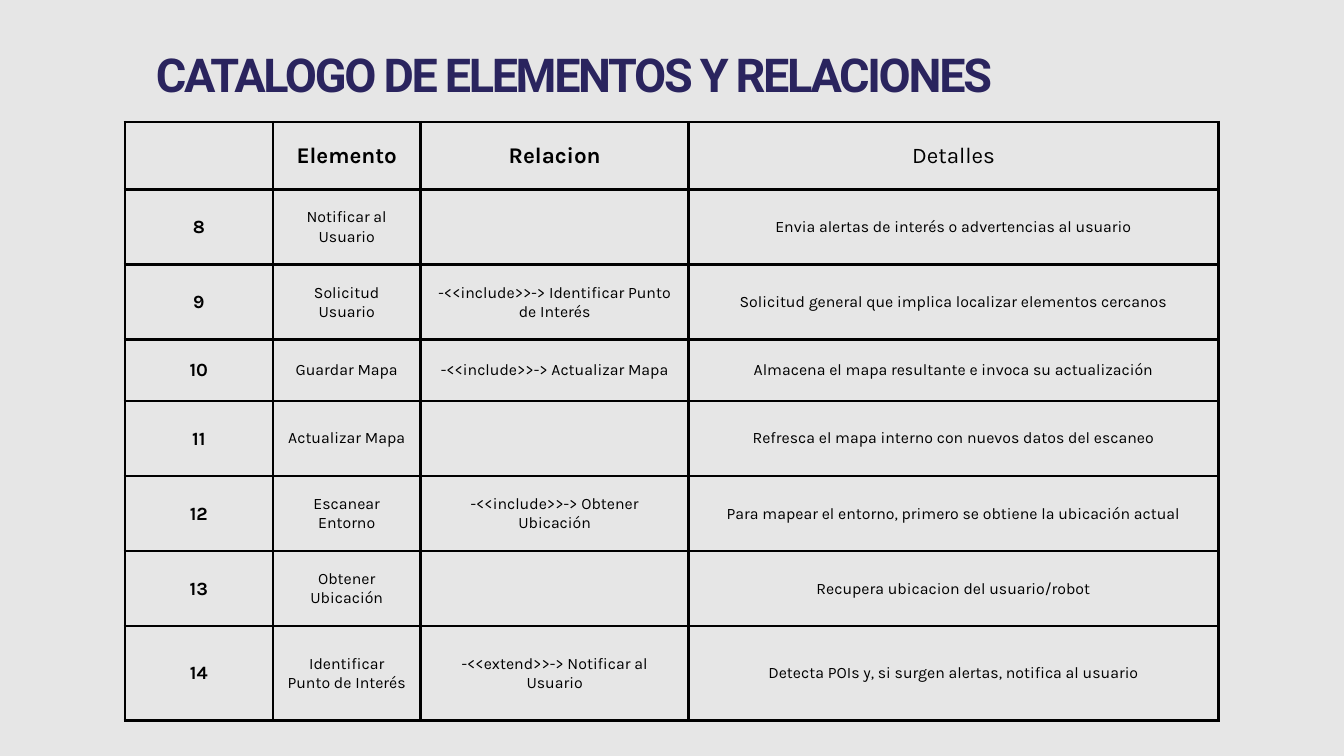
from lxml import etree
from pptx import Presentation
from pptx.dml.color import RGBColor
from pptx.enum.text import MSO_ANCHOR, MSO_AUTO_SIZE, PP_ALIGN
from pptx.oxml.ns import qn
from pptx.util import Cm, Pt

LEFT, CENTER = PP_ALIGN.LEFT, PP_ALIGN.CENTER
TOP, MIDDLE = MSO_ANCHOR.TOP, MSO_ANCHOR.MIDDLE
FIXED = MSO_AUTO_SIZE.NONE

COLORS = {"back": "E6E6E6", "title": "2A245E", "ink": "000000"}
LEADS = {24: 29.3, 20: 24.4, 17: 20.7, 50: 65}
WIDTHS = [5.59, 5.59, 10.13, 20.02]
HEIGHTS = [2.54, 2.84, 2.84, 2.31, 2.84, 2.84, 2.84, 3.56]
ROWS = [
    ("", "Elemento", "Relacion", "Detalles"),
    ("8", "Notificar al Usuario", "",
     "Envia alertas de interés o advertencias al usuario"),
    ("9", "Solicitud Usuario", "-<<include>>-> Identificar Punto de Interés",
     "Solicitud general que implica localizar elementos cercanos"),
    ("10", "Guardar Mapa", "-<<include>>-> Actualizar Mapa",
     "Almacena el mapa resultante e invoca su actualización"),
    ("11", "Actualizar Mapa", "",
     "Refresca el mapa interno con nuevos datos del escaneo"),
    ("12", "Escanear Entorno", "-<<include>>-> Obtener Ubicación",
     "Para mapear el entorno, primero se obtiene la ubicación actual"),
    ("13", "Obtener Ubicación", "", "Recupera ubicacion del usuario/robot"),
    ("14", "Identificar Punto de Interés", "-<<extend>>-> Notificar al Usuario",
     "Detecta POIs y, si surgen alertas, notifica al usuario"),
]


class Deck:
    def __init__(self):
        self.prs = Presentation()
        self.prs.slide_width, self.prs.slide_height = Cm(50.8), Cm(28.58)
        self.slide = self.prs.slides.add_slide(self.prs.slide_layouts[5])
        fill = self.slide.background.fill
        fill.solid()
        fill.fore_color.rgb = RGBColor.from_string(COLORS["back"])

    def text(self, para, words, size, font, color, bold, align):
        para.alignment = align
        para.line_spacing = Pt(LEADS[size])
        run = para.add_run()
        run.text = words
        run.font.name, run.font.size, run.font.bold = font, Pt(size), bold
        run.font.color.rgb = RGBColor.from_string(COLORS[color])
        return run

    def title(self, words, left, top, width, height):
        shape = self.slide.shapes.title
        shape.left, shape.top = Cm(left), Cm(top)
        shape.width, shape.height = Cm(width), Cm(height)
        frame = shape.text_frame
        frame.margin_left = frame.margin_right = 0
        frame.margin_top = frame.margin_bottom = 0
        frame.vertical_anchor = TOP
        frame.word_wrap = True
        frame.auto_size = FIXED
        run = self.text(frame.paragraphs[0], words, 50, "Roboto", "title", True, LEFT)
        run._r.get_or_add_rPr().set("spc", "-250")

    def border(self, cell):
        props = cell._tc.get_or_add_tcPr()
        for side in ("a:lnL", "a:lnR", "a:lnT", "a:lnB"):
            line = etree.SubElement(props, qn(side), w=str(Pt(3)))
            fill = etree.SubElement(line, qn("a:solidFill"))
            etree.SubElement(fill, qn("a:srgbClr"), val=COLORS["ink"])

    def cell(self, cell, words, size, bold):
        self.border(cell)
        cell.fill.background()
        cell.margin_left = cell.margin_right = Cm(0.53)
        cell.margin_top = cell.margin_bottom = Cm(0.53)
        cell.vertical_anchor = MIDDLE
        if words:
            para = cell.text_frame.paragraphs[0]
            self.text(para, words, size, "Karla", "ink", bold, CENTER)

    def table(self, rows, left, top, widths, heights):
        frame = self.slide.shapes.add_table(
            len(rows), len(widths), Cm(left), Cm(top),
            Cm(sum(widths)), Cm(sum(heights)))
        table = frame.table
        for col, width in zip(table.columns, widths):
            col.width = Cm(width)
        for row, height in zip(table.rows, heights):
            row.height = Cm(height)
        for r, texts in enumerate(rows):
            for c, words in enumerate(texts):
                size = 24 if r == 0 else 20 if c == 0 else 17
                bold = c < 3 if r == 0 else c == 0
                self.cell(table.cell(r, c), words, size, bold)


def main():
    deck = Deck()
    deck.title("CATALOGO DE ELEMENTOS Y RELACIONES", 5.89, 1.55, 39, 2.24)
    deck.table(ROWS, 4.72, 4.62, WIDTHS, HEIGHTS)
    deck.prs.save("out.pptx")


if __name__ == "__main__":
    main()
